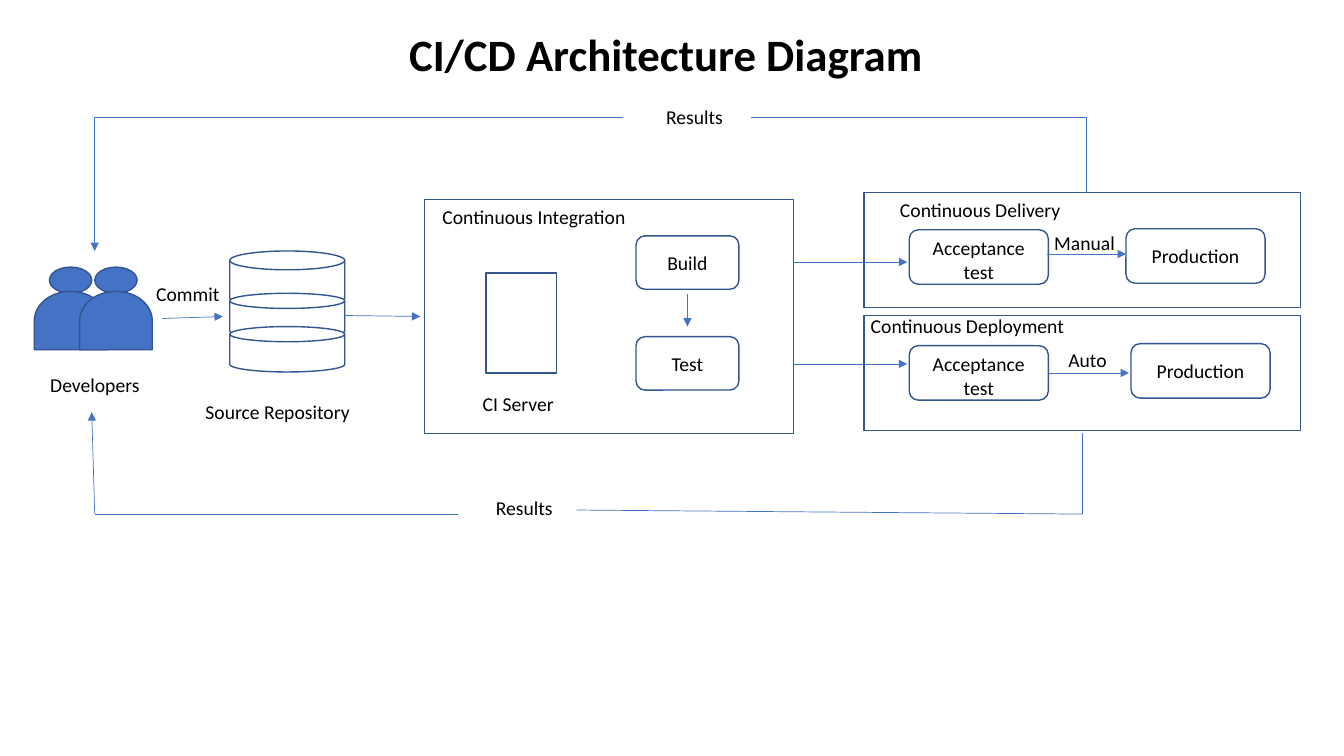
from collections import namedtuple

from lxml.etree import SubElement
from pptx import Presentation
from pptx.dml.color import RGBColor
from pptx.enum.shapes import MSO_CONNECTOR as Connector, MSO_SHAPE as Shape
from pptx.enum.text import MSO_ANCHOR as Anchor, MSO_AUTO_SIZE as AutoSize, PP_ALIGN as Align
from pptx.oxml.ns import qn
from pptx.util import Inches, Pt

# Grid cells are a tenth of an inch on each side
CELL = Inches(0.1)
COLUMNS, ROWS = 133.33, 75
FONT, BLACK, WHITE = "Calibri", "000000", "FFFFFF"
BLUE, OUTLINE = "4472C4", "325491"


class Box(namedtuple("Box", "left top width height")):
    def inner(self, left, top, width, height):
        return Box(self.left + left, self.top + top, width, height)

    def point(self, column, row):
        return self.left + column, self.top + row


def cells(*counts):
    return [round(count * CELL) for count in counts]


def color(value):
    return RGBColor.from_string(value)


def write(frame, text, size=14, bold=False, align=Align.LEFT, gap_size=None):
    """Write one paragraph; gap_size sets the space apart from the words."""
    frame.word_wrap = True
    para = frame.paragraphs[0]
    para.alignment = align
    pieces = [(text, size)]
    if gap_size:
        first, gap, last = text.partition(" ")
        pieces = [(first, size), (gap, gap_size), (last, size)]
    for piece, points in pieces:
        span = para.add_run()
        span.text = piece
        span.font.name, span.font.size = FONT, Pt(points)
        span.font.bold = bold
        span.font.color.rgb = color(BLACK)


def add_label(page, box, text, **style):
    label = page.shapes.add_textbox(*cells(*box))
    write(label.text_frame, text, **style)
    label.text_frame.auto_size = AutoSize.SHAPE_TO_FIT_TEXT


def add_block(page, box, kind=Shape.RECTANGLE, fill=WHITE):
    block = page.shapes.add_shape(kind, *cells(*box))
    block.shadow.inherit = False
    block.fill.solid()
    block.fill.fore_color.rgb = color(fill)
    block.line.color.rgb = color(OUTLINE)
    block.line.width = Pt(1)
    return block


def add_step(page, box, text, **style):
    step = add_block(page, box, Shape.ROUNDED_RECTANGLE)
    step.text_frame.vertical_anchor = Anchor.MIDDLE
    write(step.text_frame, text, align=Align.CENTER, **style)


def add_line(page, start, end, arrow=True):
    line = page.shapes.add_connector(Connector.STRAIGHT, *cells(*start, *end))
    line.line.color.rgb = color(BLUE)
    line.line.width = Pt(0.5)
    properties = line._element.spPr
    if arrow:
        SubElement(properties.find(qn("a:ln")), qn("a:tailEnd"), type="triangle")
    SubElement(properties, qn("a:effectLst"))


def draw_developers(page, box):
    for shift in (0, 4.5):
        add_block(page, box.inner(shift + 0.9, 0, 4.2, 2.6), Shape.OVAL, BLUE)
        body = add_block(page, box.inner(shift + 0.1, 1.7, 5.8, 7.2), Shape.FLOWCHART_DELAY, BLUE)
        body.rotation = 270
    add_label(page, box.inner(0, 10, 13, 3.4), "Developers")


def draw_repository(page, box):
    for top, height in ((0, 5.6), (4.2, 4.5), (7.5, 4.5)):
        add_block(page, box.inner(0, top, box.width, height), Shape.FLOWCHART_MAGNETIC_DISK)
    add_label(page, box.inner(-3.4, 14.3, 20.2, 3.4), "Source Repository")


def draw_integration(page, box):
    add_block(page, box)
    add_label(page, box.inner(0.8, 0, 20.2, 3.4), "Continuous Integration")
    # Server
    add_block(page, box.inner(6.1, 7.3, 7, 9.9))
    add_label(page, box.inner(4.8, 18.6, 10.2, 3.4), "CI Server")
    # Build and test
    for row, text in ((3.6, "Build"), (13.6, "Test")):
        add_step(page, box.inner(21, row, 10.2, 5.3), text)
    add_line(page, box.point(26.1, 9.4), box.point(26.1, 12.6))


def draw_stage(page, box, title, title_at, test_row, production_at, trigger, trigger_at, arrow):
    add_block(page, box)
    add_label(page, box.inner(*title_at, 26, 3.4), title)
    add_step(page, box.inner(4.5, test_row, 13.8, 5.4), "Acceptance test", gap_size=18)
    add_step(page, box.inner(*production_at, 13.8, 5.4), "Production")
    add_label(page, box.inner(*trigger_at, 8.8, 3.4), trigger)
    start, end, row = arrow
    add_line(page, box.point(start, row), box.point(end, row))


def draw_feedback(page, points, label_box):
    """Lead from the stages to a gap for the label, then on to the developers."""
    for number in (0, 1, 3, 4):
        add_line(page, points[number], points[number + 1], arrow=number == 4)
    add_label(page, label_box, "Results")


def draw_flow(page):
    add_label(page, Box(14.5, 27.5, 10.2, 3.4), "Commit")
    for start, end in (
        ((16.1, 31.6), (22.1, 31.4)),
        ((34.2, 31.3), (41.7, 31.4)),
        ((78.7, 26), (90, 26)),
        ((78.7, 36.1), (90, 36.1)),
    ):
        add_line(page, start, end)


deck = Presentation()
deck.slide_width, deck.slide_height = cells(COLUMNS, ROWS)
page = deck.slides.add_slide(deck.slide_layouts[6])

add_label(page, Box(39.6, 2.2, 62.8, 6.4), "CI/CD Architecture Diagram", size=32, bold=True)
draw_developers(page, Box(4, 26.5, 13, 13.4))
draw_repository(page, Box(22.8, 24.9, 11.4, 12))
draw_integration(page, Box(42.1, 19.8, 36.6, 23.2))
draw_stage(page, Box(85.7, 19.1, 43.3, 11.4), "Continuous Delivery", (2.6, 0),
           3.7, (26, 3.6), "Manual", (17.9, 3.3), (18.2, 26, 6.1))
draw_stage(page, Box(85.7, 31.3, 43.3, 11.4), "Continuous Deployment", (-0.3, -0.6),
           3, (26.5, 2.8), "Auto", (19.3, 2.7), (18.4, 26.3, 5.7))
draw_flow(page)
draw_feedback(page, [(107.8, 19.1), (107.8, 11.6), (74.5, 11.6),
                     (61.8, 11.6), (9.4, 11.6), (9.4, 24.9)], Box(65.1, 9.9, 13.1, 3.4))
draw_feedback(page, [(107.4, 43), (107.4, 51), (57.2, 50.6),
                     (45.4, 51), (9.4, 51), (9.1, 40.9)], Box(48.2, 48.7, 13.1, 3.4))

deck.save("out.pptx")
